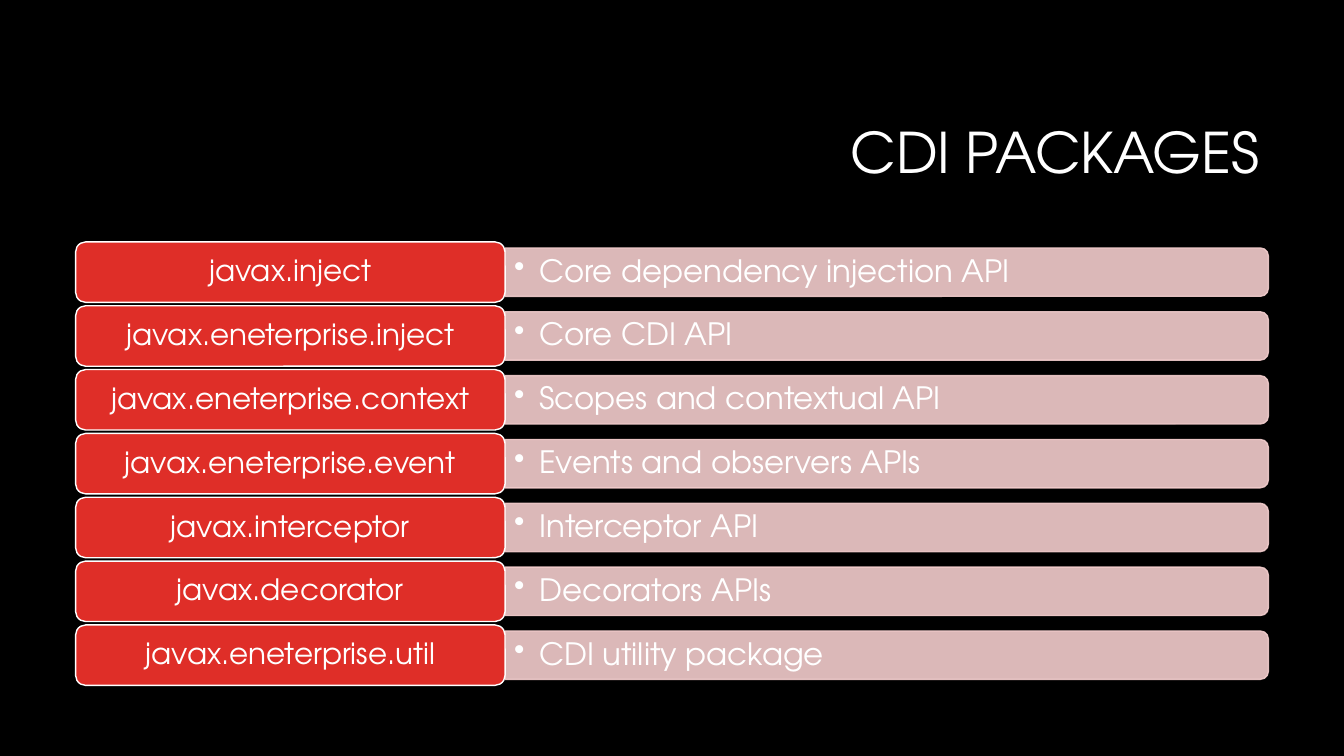
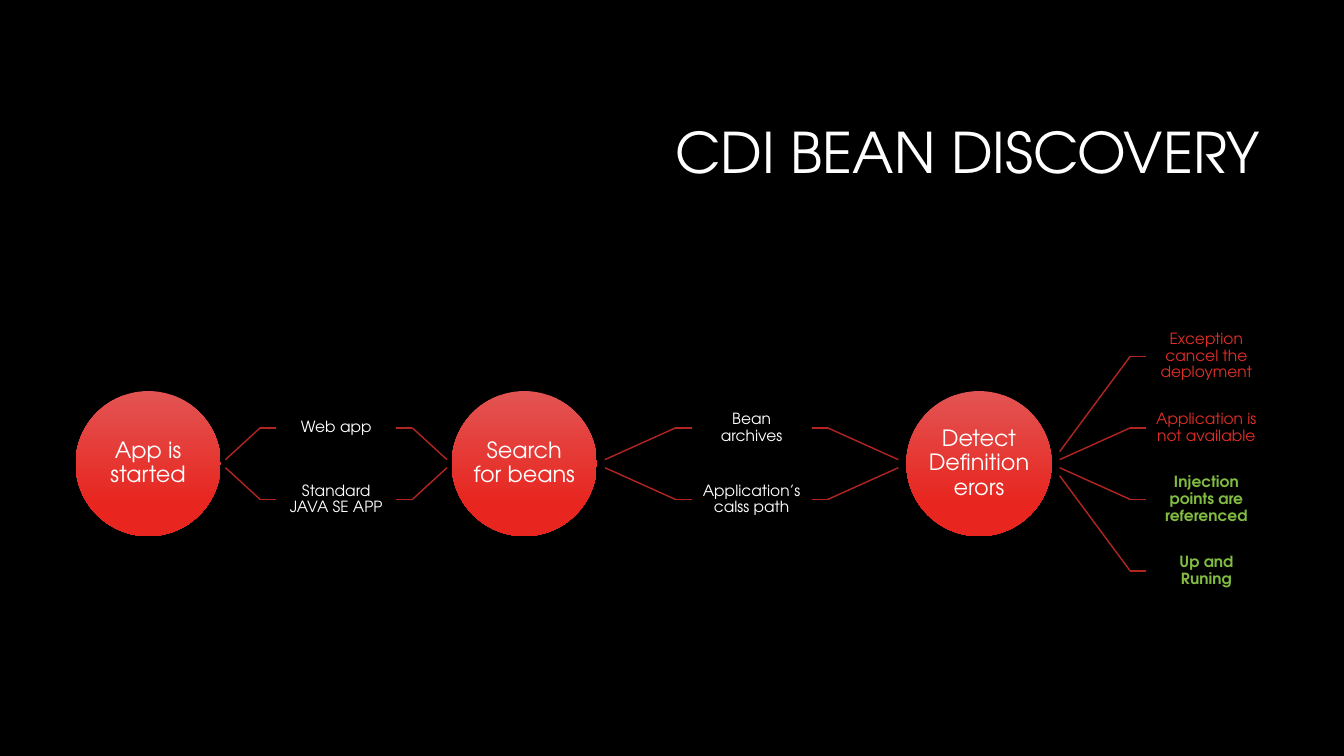
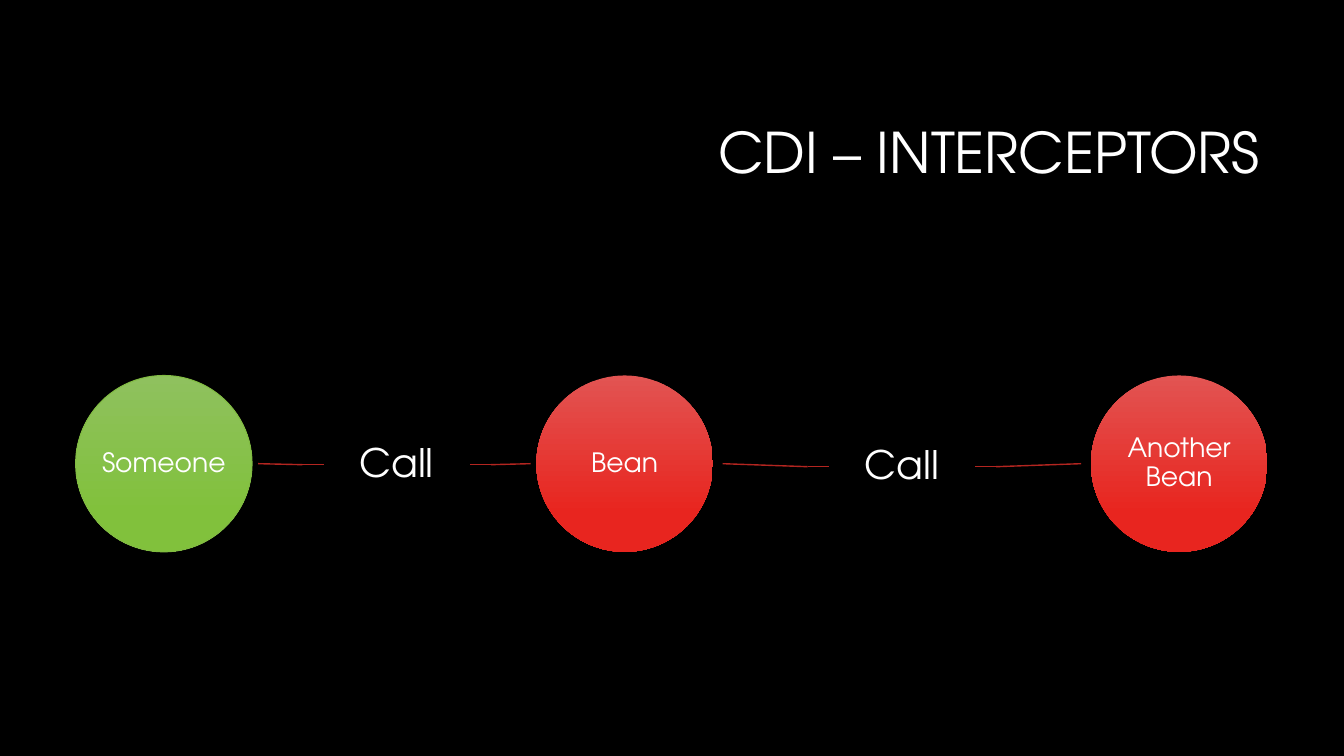
from lxml.etree import SubElement
from pptx import Presentation
from pptx.dml.color import RGBColor
from pptx.enum.shapes import MSO_CONNECTOR as Connector, MSO_SHAPE as Preset
from pptx.enum.text import MSO_ANCHOR as Anchor, PP_ALIGN as Align
from pptx.oxml.ns import qn
from pptx.util import Inches, Pt

COLORS = {
    "background": "000000", "text": "FFFFFF", "link": "B32520",
    "red": "DF2E28", "red top": "E25452", "red bottom": "E8251F",
    "green": "81BB42", "green top": "8FC15E", "green bottom": "81C13C",
    "bar": "F3CDCD",
}
FONT = "TeX Gyre Adventor"
SLIDE_W, SLIDE_H = 13.33, 7.5
MARGIN = 0.75
TITLE_BOX = (3.17, 0.84, 9.42, 1.41)

PACKAGES = [
    ("javax.inject", "Core dependency injection API"),
    ("javax.eneterprise.inject", "Core CDI API"),
    ("javax.eneterprise.context", "Scopes and contextual API"),
    ("javax.eneterprise.event", "Events and observers APIs"),
    ("javax.interceptor", "Interceptor API"),
    ("javax.decorator", "Decorators APIs"),
    ("javax.eneterprise.util", "CDI utility package"),
]

# Each stage: hub text, hub color, labels (text, color, bold) that follow it,
# reach from hub to labels, reach from labels to the next hub, drop of the labels
DISCOVERY = {
    "stages": [
        ("App is started", "red",
         [("Web app", "text", False), ("Standard JAVA SE APP", "text", False)],
         0.55, 0.55, 0),
        ("Search for beans", "red",
         [("Bean archives", "text", False), ("Application’s calss path", "text", False)],
         0.94, 0.94, 0),
        ("Detect Definition erors", "red",
         [("Exception cancel the deployment", "red", False),
          ("Application is not available", "red", False),
          ("Injection points are referenced", "green", True),
          ("Up and Runing", "green", True)],
         0.94, None, 0),
    ],
    "hub": 1.44, "hub size": 16, "label": (1.19, 0.71), "label size": 11,
    "inset": 0.09, "stub": 0.16,
}
INTERCEPTORS = {
    "stages": [
        ("Someone", "green", [("Call", "text", False)], 0.71, 0.66, 0.01),
        ("Bean", "red", [("Call", "text", False)], 1.15, 1.15, 0.03),
        ("Another Bean", "red", [], None, None, 0),
    ],
    "hub": 1.75, "hub size": 19, "label": (1.45, 0.87), "label size": 28,
    "inset": 0.22, "stub": 0.21,
}
FLOW_Y = 4.6
LINK_PAD = 0.085   # share of a reach left free beside the hub
LINK_SPREAD = 0.08  # distance between link ends at the hub


def rgb(name):
    return RGBColor.from_string(COLORS[name])


def write(shape, text, size, color="text", bold=False, align=Align.CENTER, inset=(0, 0)):
    frame = shape.text_frame
    across, down = (Inches(value) for value in inset)
    frame_format = {
        "word_wrap": True, "vertical_anchor": Anchor.MIDDLE,
        "margin_left": across, "margin_right": across,
        "margin_top": down, "margin_bottom": down,
    }
    paragraph = frame.paragraphs[0]
    paragraph.text = text
    font = paragraph.runs[0].font
    font.color.rgb = rgb(color)
    formats = [
        (frame, frame_format),
        (paragraph, {"alignment": align, "line_spacing": 0.9}),
        (font, {"name": FONT, "size": Pt(size), "bold": bold}),
    ]
    for target, values in formats:
        for attribute, value in values.items():
            setattr(target, attribute, value)
    return paragraph


def add_text(slide, box, *args, **style):
    return write(slide.shapes.add_textbox(*map(Inches, box)), *args, **style)


def add_preset(slide, preset, box, fill=None, line=None, line_width=1):
    shape = slide.shapes.add_shape(preset, *map(Inches, box))
    shape.shadow.inherit = False
    if fill:
        shape.fill.solid()
        shape.fill.fore_color.rgb = rgb(fill)
    if line:
        shape.line.color.rgb = rgb(line)
        shape.line.width = Pt(line_width)
    else:
        shape.line.fill.background()
    return shape


def add_link(slide, points):
    """Draw straight segments through the points."""
    for start, end in zip(points, points[1:]):
        link = slide.shapes.add_connector(
            Connector.STRAIGHT, *map(Inches, (*start, *end)))
        link.line.color.rgb = rgb("link")
        link.line.width = Pt(1)
        SubElement(link.element.spPr, qn("a:effectLst"))


def add_titled_slide(deck, title):
    slide = deck.slides.add_slide(deck.slide_layouts[6])
    add_text(slide, TITLE_BOX, title, 40, align=Align.RIGHT, inset=(0.1, 0.05))
    return slide


def add_packages(slide):
    first_top, last_top = 2.4, 6.2
    pitch = (last_top - first_top) / (len(PACKAGES) - 1)
    name_w, name_h = 4.26, 0.6
    bar_w, bar_h, text_h = 7.57, 0.48, 0.44
    bar_x = MARGIN + name_w
    for row, (package_name, purpose) in enumerate(PACKAGES):
        top = first_top + row * pitch
        middle = top + name_h / 2
        # The bar stands upright and is turned so that its round end faces right
        bar = add_preset(slide, Preset.ROUND_2_SAME_RECTANGLE,
                         (bar_x + (bar_w - bar_h) / 2, middle - bar_w / 2, bar_h, bar_w),
                         "bar", "bar")
        bar.rotation = 90
        for color in bar.element.spPr.iter(qn("a:srgbClr")):
            SubElement(color, qn("a:alpha"), val="90000")

        bullet = add_text(slide, (bar_x, middle - text_h / 2, bar_w, text_h),
                          purpose, 22, align=Align.LEFT, inset=(0.09, 0.05))
        properties = bullet._p.get_or_add_pPr()
        properties.set("marL", str(Inches(0.25)))
        properties.set("indent", str(-Inches(0.25)))
        SubElement(properties, qn("a:buChar"), char="•")

        tag = add_preset(slide, Preset.ROUNDED_RECTANGLE,
                         (MARGIN, top, name_w, name_h), "red", "text")
        write(tag, package_name, 21, inset=(0.09, 0.04))


def add_hub(slide, x, diameter, text, size, color):
    outline = "green" if color == "green" else None
    hub = add_preset(slide, Preset.OVAL, (x, FLOW_Y - diameter / 2, diameter, diameter),
                     line=outline, line_width=0.75)
    hub.fill.gradient()
    hub.fill.gradient_angle = 270
    for stop, position, end in zip(hub.fill.gradient_stops, (0, 0.78), ("top", "bottom")):
        stop.position = position
        stop.color.rgb = rgb(f"{color} {end}")
    write(hub, text, size)


def add_flow(slide, flow):
    """Lay hubs out from left to right, with linked labels between them."""
    diameter, stub, inset = flow["hub"], flow["stub"], flow["inset"]
    label_w, label_h = flow["label"]
    hub_x = MARGIN
    for hub_text, hub_color, labels, reach_in, reach_out, drop in flow["stages"]:
        add_hub(slide, hub_x, diameter, hub_text, flow["hub size"], hub_color)
        if not labels:
            continue
        hub_right = hub_x + diameter
        label_x = hub_right + reach_in
        label_right = label_x + label_w
        for index, (text, color, bold) in enumerate(labels):
            step = index - (len(labels) - 1) / 2
            hub_y = FLOW_Y + step * LINK_SPREAD
            y = FLOW_Y + drop + step * label_h
            add_link(slide, [(hub_right + LINK_PAD * reach_in, hub_y),
                             (label_x - stub, y), (label_x, y)])
            add_text(slide, (label_x, y - label_h / 2, label_w, label_h), text,
                     flow["label size"], color, bold, inset=(inset, inset))
            if reach_out:
                next_hub = label_right + reach_out
                add_link(slide, [(label_right, y), (label_right + stub, y),
                                 (next_hub - LINK_PAD * reach_out, hub_y)])
        if reach_out:
            hub_x = label_right + reach_out


def main():
    deck = Presentation()
    deck.slide_width, deck.slide_height = Inches(SLIDE_W), Inches(SLIDE_H)
    backdrop = deck.slide_master.background.fill
    backdrop.solid()
    backdrop.fore_color.rgb = rgb("background")

    add_packages(add_titled_slide(deck, "CDI PACKAGES"))
    add_flow(add_titled_slide(deck, "CDI BEAN DISCOVERY"), DISCOVERY)
    add_flow(add_titled_slide(deck, "CDI – INTERCEPTORS"), INTERCEPTORS)
    deck.save("out.pptx")


if __name__ == "__main__":
    main()
